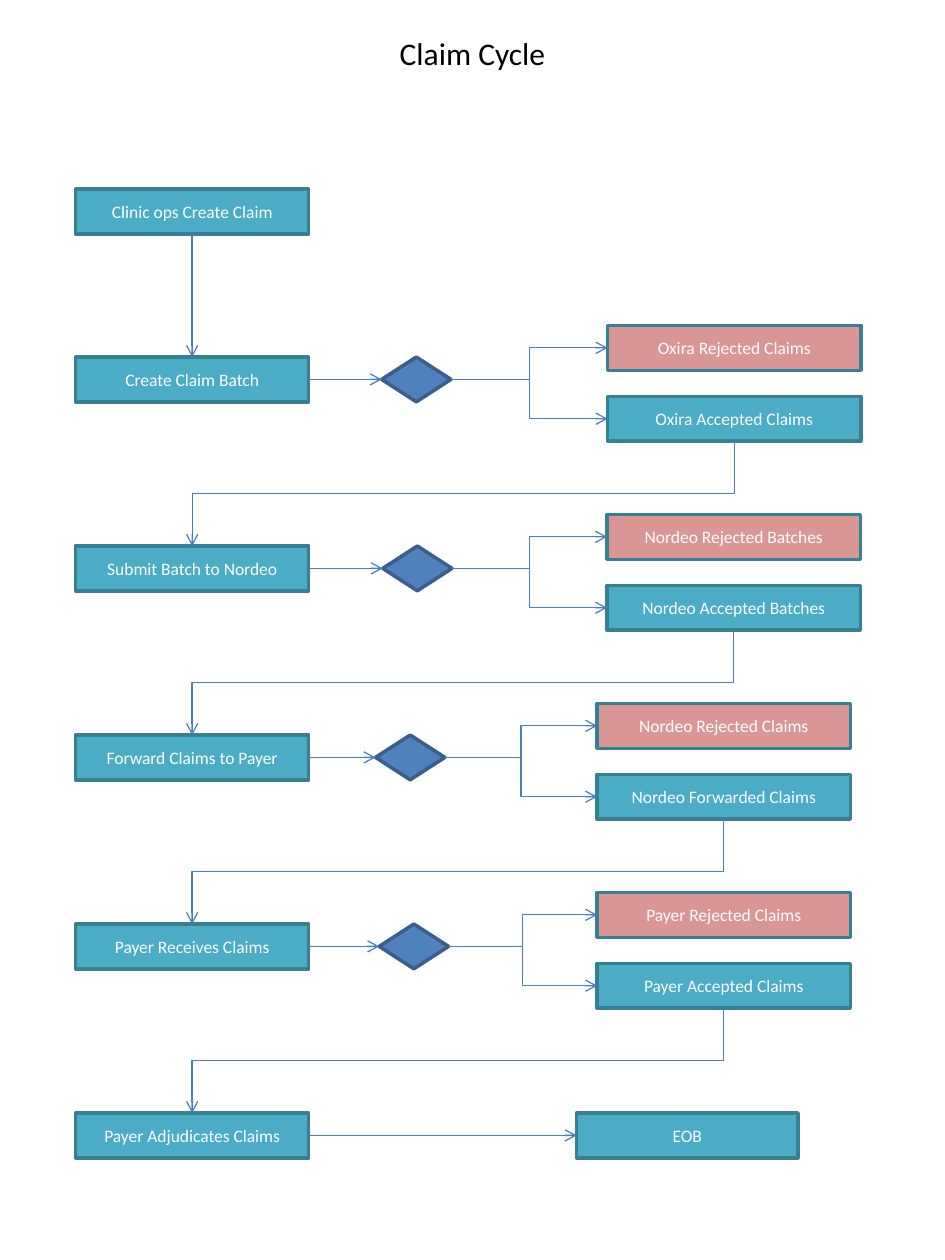
"""Build the claim cycle flowchart slide."""
from dataclasses import dataclass

from lxml.etree import SubElement
from pptx import Presentation
from pptx.dml.color import RGBColor
from pptx.enum.shapes import MSO_CONNECTOR, MSO_SHAPE
from pptx.enum.text import MSO_ANCHOR, MSO_AUTO_SIZE, PP_ALIGN
from pptx.oxml.ns import qn
from pptx.shapes.autoshape import Shape
from pptx.shapes.connector import Connector
from pptx.slide import Slide
from pptx.text.text import TextFrame
from pptx.util import Pt

COLORS: dict[str, str] = {
    "step": "4BACC6",
    "rejected": "D99694",
    "box_edge": "377F92",
    "decision": "4F81BD",
    "decision_edge": "3A5F8C",
    "arrow": "4B7EBC",
    "box_text": "FFFFFF",
    "title": "000000",
}
FONT = "Calibri"
TOP, BOTTOM, LEFT, RIGHT = range(4)

STEP_LEFT, STEP_WIDTH = 43.2, 133.2
RESULT_WIDTH = 144.7
DECISION_WIDTH = 39.6
BOX_HEIGHT = 25.6
START_TOP, FIRST_STAGE_TOP, STAGE_PITCH = 108, 204, 108
REJECTED_RISE, ACCEPTED_DROP = 18, 22.5
SITES = {TOP: 0, LEFT: 1, BOTTOM: 2, RIGHT: 3}


@dataclass(frozen=True)
class Stage:
    step: str
    rejected: str
    accepted: str
    decision_left: float
    result_left: float


STAGES = [
    Stage("Create Claim Batch", "Oxira Rejected Claims", "Oxira Accepted Claims", 218.1, 347.2),
    Stage("Submit Batch to Nordeo", "Nordeo Rejected Batches", "Nordeo Accepted Batches", 218.7, 346.9),
    Stage("Forward Claims to Payer", "Nordeo Rejected Claims", "Nordeo Forwarded Claims", 214.6, 341.2),
    Stage("Payer Receives Claims", "Payer Rejected Claims", "Payer Accepted Claims", 216.7, 341.2),
]


def color(name: str) -> RGBColor:
    return RGBColor.from_string(COLORS[name])


def write(frame: TextFrame, text: str, size: float, color_name: str) -> None:
    paragraph = frame.paragraphs[0]
    paragraph.alignment = PP_ALIGN.CENTER
    span = paragraph.add_run()
    span.text = text
    span.font.name = FONT
    span.font.size = Pt(size)
    span.font.color.rgb = color(color_name)


def add_node(page: Slide, kind: MSO_SHAPE, left: float, top: float, width: float,
             fill: str, edge: str) -> Shape:
    node = page.shapes.add_shape(kind, Pt(left), Pt(top), Pt(width), Pt(BOX_HEIGHT))
    node.shadow.inherit = False
    node.fill.solid()
    node.fill.fore_color.rgb = color(fill)
    node.line.color.rgb = color(edge)
    node.line.width = Pt(2)
    return node


def add_box(page: Slide, text: str, left: float, top: float, width: float,
            fill: str = "step") -> Shape:
    box = add_node(page, MSO_SHAPE.RECTANGLE, left, top, width, fill, "box_edge")
    box.text_frame.word_wrap = True
    box.text_frame.vertical_anchor = MSO_ANCHOR.MIDDLE
    write(box.text_frame, text, 10, "box_text")
    return box


def add_arrow(page: Slide, source: Shape, source_side: int, target: Shape, target_side: int,
              kind: MSO_CONNECTOR = MSO_CONNECTOR.STRAIGHT) -> Connector:
    arrow = page.shapes.add_connector(kind, 0, 0, 0, 0)
    arrow.begin_connect(source, SITES[source_side])
    arrow.end_connect(target, SITES[target_side])
    arrow.line.color.rgb = color("arrow")
    arrow.line.width = Pt(0.75)
    properties = arrow._element.spPr
    SubElement(properties.find(qn("a:ln")), qn("a:tailEnd"), type="arrow")
    SubElement(properties, qn("a:effectLst"))
    return arrow


def add_return_arrow(page: Slide, source: Shape, target: Shape) -> None:
    """Leave downwards and enter from above by turning the elbow a quarter."""
    arrow = add_arrow(page, source, BOTTOM, target, TOP, MSO_CONNECTOR.ELBOW)
    left, top, width, height = arrow.left, arrow.top, arrow.width, arrow.height
    arrow.left = left + (width - height) // 2
    arrow.top = top + (height - width) // 2
    arrow.width, arrow.height = height, width
    transform = arrow._element.spPr.find(qn("a:xfrm"))
    transform.attrib.pop("flipH", None)
    transform.set("rot", str(90 * 60000))


def add_stage(page: Slide, stage: Stage, top: float) -> tuple[Shape, Shape]:
    step = add_box(page, stage.step, STEP_LEFT, top, STEP_WIDTH)
    decision = add_node(page, MSO_SHAPE.FLOWCHART_DECISION, stage.decision_left, top,
                        DECISION_WIDTH, "decision", "decision_edge")
    rejected = add_box(page, stage.rejected, stage.result_left, top - REJECTED_RISE,
                       RESULT_WIDTH, "rejected")
    accepted = add_box(page, stage.accepted, stage.result_left, top + ACCEPTED_DROP,
                       RESULT_WIDTH)
    add_arrow(page, step, RIGHT, decision, LEFT)
    for result in (rejected, accepted):
        add_arrow(page, decision, RIGHT, result, LEFT, MSO_CONNECTOR.ELBOW)
    return step, accepted


def add_title(page: Slide, text: str) -> None:
    title = page.shapes.title
    title.left, title.top, title.width, title.height = Pt(0), Pt(16), Pt(540), Pt(29)
    title.text_frame.auto_size = MSO_AUTO_SIZE.NONE
    title.text_frame.vertical_anchor = MSO_ANCHOR.TOP
    write(title.text_frame, text, 18, "title")


def main() -> None:
    deck = Presentation()
    deck.slide_width, deck.slide_height = Pt(540), Pt(720)
    page = deck.slides.add_slide(deck.slide_layouts[5])
    add_title(page, "Claim Cycle")

    start = add_box(page, "Clinic ops Create Claim", STEP_LEFT, START_TOP, STEP_WIDTH)
    rows = [add_stage(page, stage, FIRST_STAGE_TOP + index * STAGE_PITCH)
            for index, stage in enumerate(STAGES)]
    last_top = FIRST_STAGE_TOP + len(STAGES) * STAGE_PITCH
    adjudication = add_box(page, "Payer Adjudicates Claims", STEP_LEFT, last_top, STEP_WIDTH)
    benefits = add_box(page, "EOB", 329.5, last_top, 126.5)

    steps = [step for step, _ in rows] + [adjudication]
    add_arrow(page, start, BOTTOM, steps[0], TOP)
    for (_, accepted), following in zip(rows, steps[1:]):
        add_return_arrow(page, accepted, following)
    add_arrow(page, adjudication, RIGHT, benefits, LEFT)

    deck.save("out.pptx")


if __name__ == "__main__":
    main()
